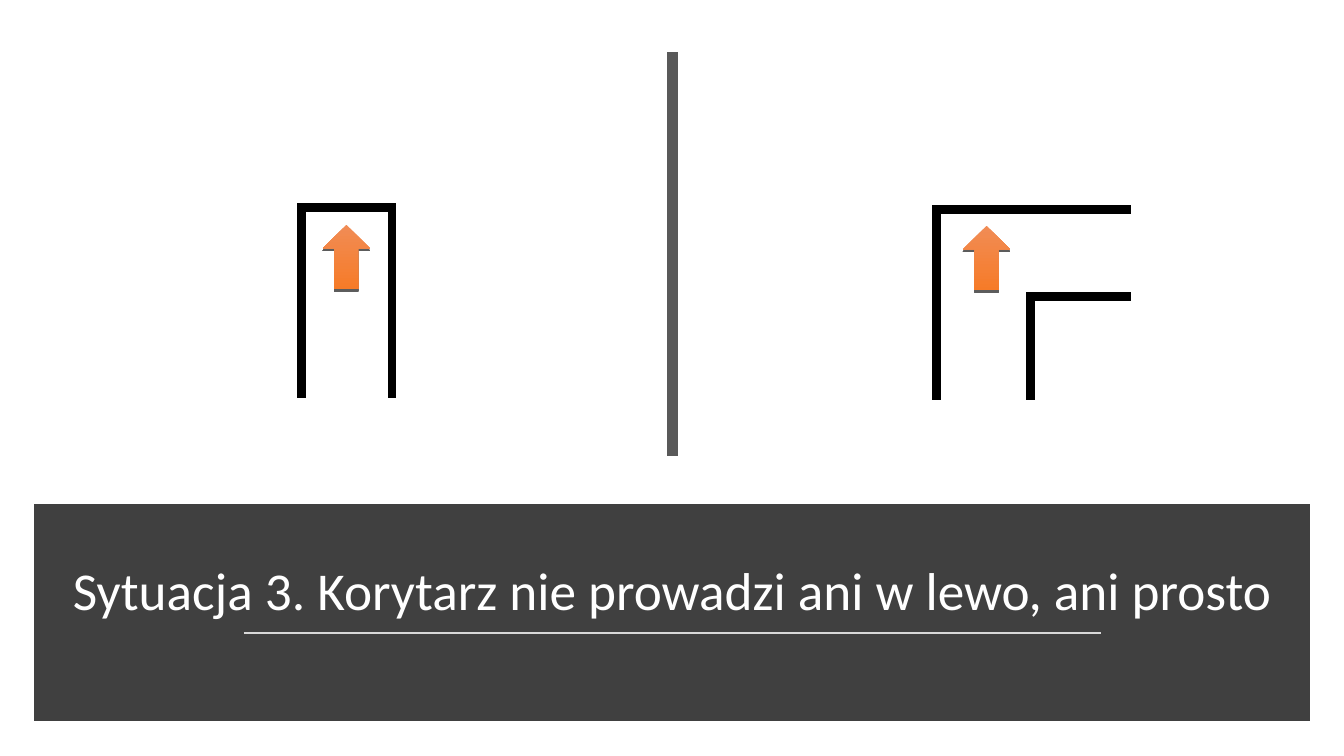
from dataclasses import dataclass

from lxml import etree
from pptx import Presentation
from pptx.dml.color import RGBColor
from pptx.enum.shapes import MSO_CONNECTOR, MSO_SHAPE
from pptx.enum.text import MSO_ANCHOR, PP_ALIGN
from pptx.oxml import parse_xml
from pptx.oxml.ns import nsdecls, qn
from pptx.util import Inches, Pt

STRAIGHT = MSO_CONNECTOR.STRAIGHT
UP_ARROW = MSO_SHAPE.UP_ARROW
RECT = MSO_SHAPE.RECTANGLE
BOTTOM = MSO_ANCHOR.BOTTOM
CENTER = PP_ALIGN.CENTER

BLACK = RGBColor(0x00, 0x00, 0x00)
WHITE = RGBColor(0xFF, 0xFF, 0xFF)
DARK = RGBColor(0x40, 0x40, 0x40)
GRAY = RGBColor(0x59, 0x59, 0x59)
LIGHT = RGBColor(0xD9, 0xD9, 0xD9)
ORANGES = (RGBColor(0xF1, 0x8C, 0x55), RGBColor(0xF6, 0x7B, 0x28))

SHADOW = (
    f'<a:effectLst {nsdecls("a")}>'
    '<a:outerShdw blurRad="0" dist="19050" dir="5400000" algn="ctr" rotWithShape="0">'
    '<a:srgbClr val="000000"><a:alpha val="63000"/></a:srgbClr>'
    '</a:outerShdw></a:effectLst>'
)


@dataclass
class Line:
    x1: float
    y1: float
    x2: float
    y2: float
    color: RGBColor = BLACK
    width: float = 6
    cap: str = "sq"


@dataclass
class Maze:
    walls: list[Line]
    left: float  # arrow position
    top: float


RULES = [
    Line(2.42, 6.28, 10.92, 6.28, LIGHT, 1.75, "flat"),
    Line(6.67, 0.52, 6.67, 4.52, GRAY, 8, "flat"),
]
MAZES = [
    # Turn to the right
    Maze([Line(10.22, 3.93, 10.22, 2.94),
          Line(9.29, 3.93, 9.29, 2.08),
          Line(11.18, 2.94, 10.22, 2.94),
          Line(11.18, 2.08, 9.29, 2.08)], 9.55, 2.24),
    # Dead end
    Maze([Line(3.89, 3.91, 3.89, 2.06),
          Line(2.99, 3.91, 2.99, 2.06),
          Line(3.89, 2.06, 2.99, 2.06)], 3.2, 2.23),
]


def draw_line(shapes, item: Line) -> None:
    line = shapes.add_connector(STRAIGHT, Inches(item.x1), Inches(item.y1),
                                Inches(item.x2), Inches(item.y2))
    line.line.color.rgb = item.color
    line.line.width = Pt(item.width)
    props = line._element.spPr
    props.find(qn("a:ln")).set("cap", item.cap)
    etree.SubElement(props, qn("a:effectLst"))


def draw_arrow(shapes, left: float, top: float) -> None:
    arrow = shapes.add_shape(UP_ARROW, Inches(left), Inches(top),
                             Inches(0.47), Inches(0.64))
    arrow.fill.gradient()
    arrow.fill.gradient_angle = 270
    for stop, color in zip(arrow.fill.gradient_stops, ORANGES):
        stop.color.rgb = color
    arrow.line.fill.background()
    arrow._element.spPr.append(parse_xml(SHADOW))


def draw_maze(shapes, maze: Maze) -> None:
    group = shapes.add_group_shape().shapes
    for wall in maze.walls:
        draw_line(group, wall)
    draw_arrow(group, maze.left, maze.top)


def draw_band(shapes) -> None:
    band = shapes.add_shape(RECT, Inches(0.41), Inches(5.07),
                            Inches(12.51), Inches(2.01))
    band.shadow.inherit = False
    band.fill.solid()
    band.fill.fore_color.rgb = DARK
    band.line.color.rgb = DARK
    band.line.width = Pt(10)
    join = etree.SubElement(band._element.spPr.find(qn("a:ln")), qn("a:miter"))
    join.set("lim", "800000")


def draw_title(shapes, text: str) -> None:
    box = shapes.add_textbox(Inches(0.58), Inches(5.2), Inches(12.18), Inches(1.02))
    frame = box.text_frame
    frame.word_wrap = True
    frame.vertical_anchor = BOTTOM
    para = frame.paragraphs[0]
    para.alignment = CENTER
    para.line_spacing = 0.9
    run = para.add_run()
    run.text = text
    run.font.name = "Calibri"
    run.font.size = Pt(38)
    run.font.color.rgb = WHITE


def main() -> None:
    deck = Presentation()
    deck.slide_width = Inches(13.33)
    deck.slide_height = Inches(7.5)
    shapes = deck.slides.add_slide(deck.slide_layouts[6]).shapes

    # Title band and rules
    draw_band(shapes)
    for rule in RULES:
        draw_line(shapes, rule)
    draw_title(shapes, "Sytuacja 3. Korytarz nie prowadzi ani w lewo, ani prosto")

    # Corridors
    for maze in MAZES:
        draw_maze(shapes, maze)

    deck.save("out.pptx")


if __name__ == "__main__":
    main()
